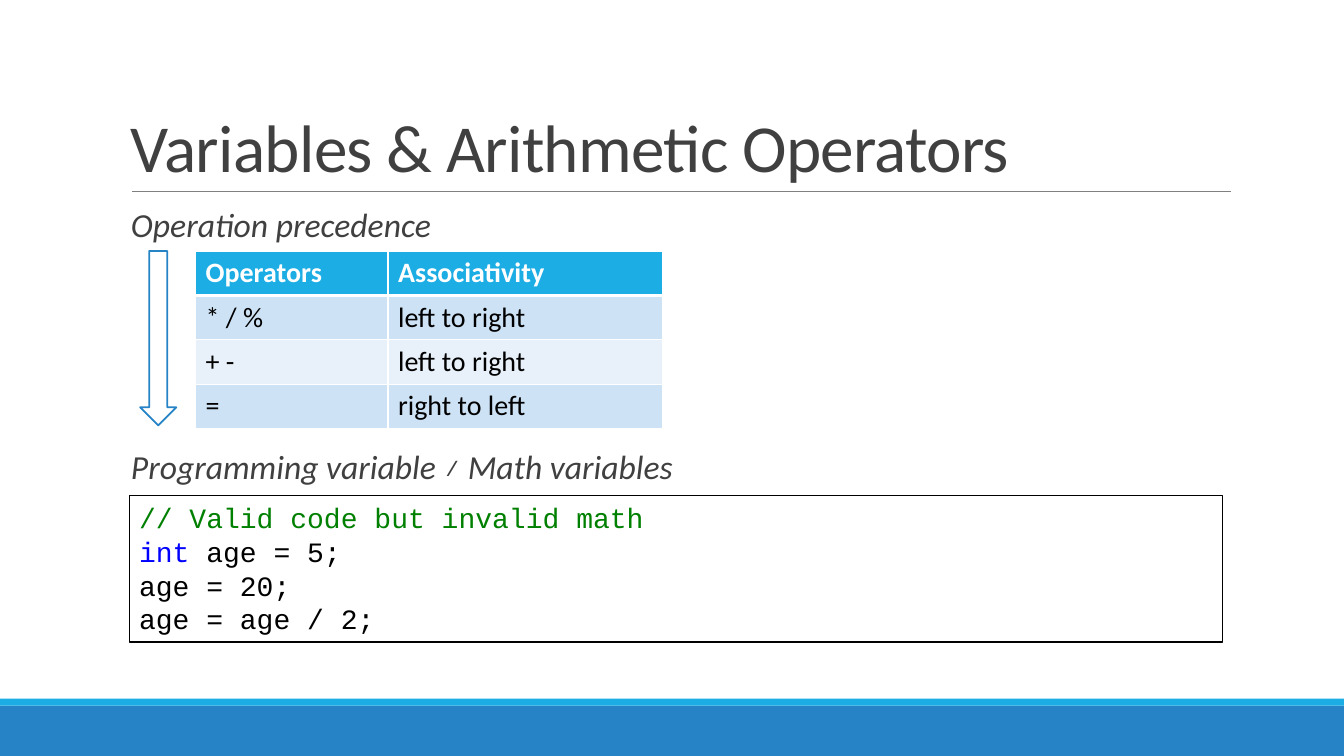
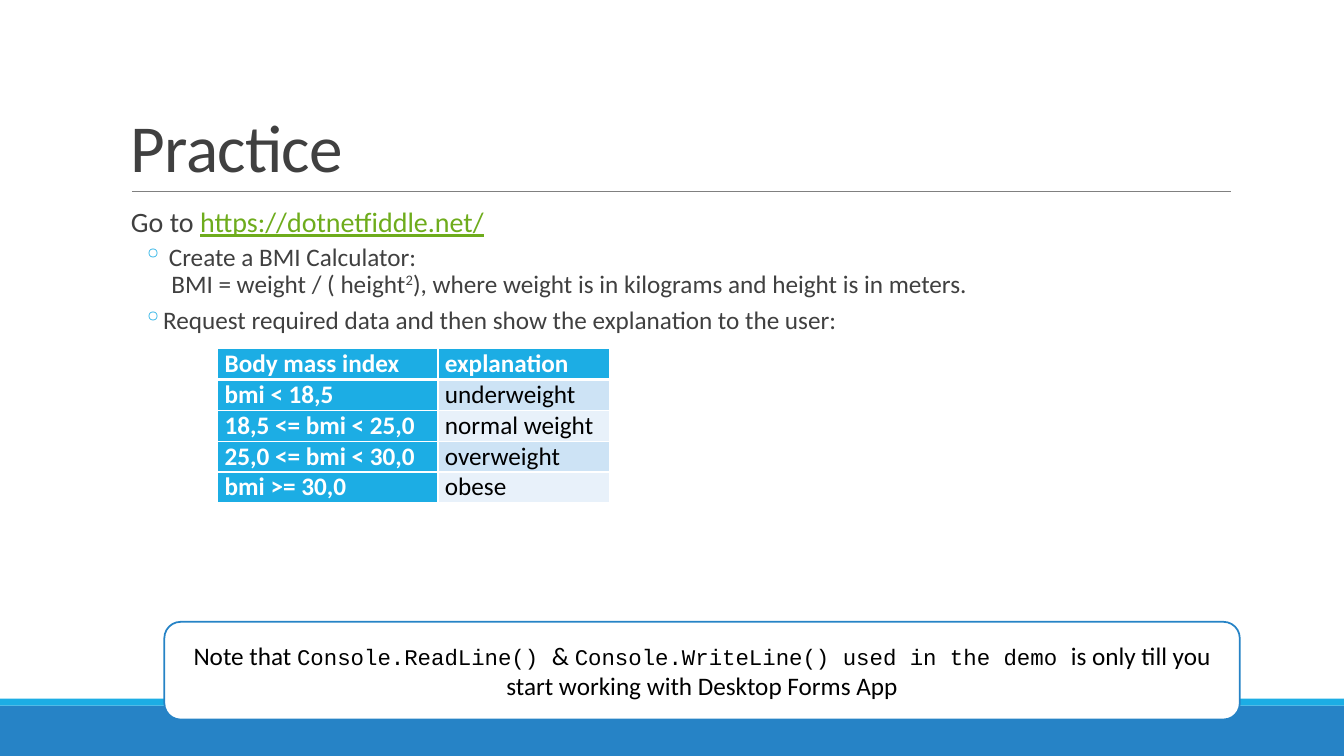
import pptx
import pptx.dml.color
import pptx.enum.shapes
import pptx.enum.text
import pptx.oxml
import pptx.oxml.ns
import pptx.util

Pt = pptx.util.Pt
SHAPES = pptx.enum.shapes.MSO_SHAPE
ANCHOR = pptx.enum.text.MSO_ANCHOR
ALIGN = pptx.enum.text.PP_ALIGN
NS = pptx.oxml.ns.nsdecls("a")


def rgb(hex_color):
    return pptx.dml.color.RGBColor.from_string(hex_color)


def write(paragraph, text, size=18, font="Calibri", color="000000", bold=False,
          italic=False, underline=False, tracking=None, baseline=None):
    """Append formatted text; a newline becomes a line break."""
    for index, line in enumerate(text.split("\n")):
        if index:
            paragraph.add_line_break()
        run = paragraph.add_run()
        run.text = line
        run.font.name, run.font.size = font, Pt(size)
        run.font.bold, run.font.italic = bold, italic
        run.font.underline = underline
        run.font.color.rgb = rgb(color)
        properties = run.font._element
        if tracking is not None:
            properties.set("spc", str(int(tracking * 100)))
        if baseline is not None:
            properties.set("baseline", str(baseline * 1000))


class Deck:
    BLUE, CYAN, INK, RULE = "2683C6", "1CADE4", "404040", "808080"
    WHITE, BLACK, LINK = "FFFFFF", "000000", "6EAC1C"
    STRIPES = ("CDE3F5", "E8F1FA")
    CODE_FONT = "Courier New"
    WIDTH, HEIGHT = 960, 540

    def __init__(self):
        self.file = pptx.Presentation()
        self.file.slide_width = Pt(self.WIDTH)
        self.file.slide_height = Pt(self.HEIGHT)
        self.slide = None

    def start_slide(self, title):
        """Open a slide with the shared bands, title and rule."""
        self.slide = self.file.slides.add_slide(self.file.slide_layouts[6])
        self.shape(SHAPES.RECTANGLE, 0, 504, self.WIDTH, 36, fill=self.BLUE)
        self.shape(SHAPES.RECTANGLE, 0, 499, self.WIDTH, 5, fill=self.CYAN)
        self.rule(94.3, 879, 136.8)
        frame = self.text_box(86.4, 22.3, 792, 114.5, inset=7.2, anchor=ANCHOR.BOTTOM)
        paragraph = self.paragraph(frame, line_spacing=0.85)
        write(paragraph, title, size=48, color=self.INK, tracking=-0.5)

    def rule(self, left, right, top):
        line = self.slide.shapes.add_connector(
            pptx.enum.shapes.MSO_CONNECTOR.STRAIGHT, Pt(left), Pt(top), Pt(right), Pt(top))
        line.line.color.rgb = rgb(self.RULE)
        line.line.width = Pt(0.5)
        line._element.spPr.append(pptx.oxml.parse_xml(f"<a:effectLst {NS}/>"))

    def shape(self, kind, left, top, width, height, fill=None, line=None,
              line_width=1.25, anchor=ANCHOR.TOP):
        shape = self.slide.shapes.add_shape(kind, Pt(left), Pt(top), Pt(width), Pt(height))
        shape.shadow.inherit = False
        if fill:
            shape.fill.solid()
            shape.fill.fore_color.rgb = rgb(fill)
        else:
            shape.fill.background()
        if line:
            shape.line.color.rgb = rgb(line)
            shape.line.width = Pt(line_width)
        else:
            shape.line.fill.background()
        shape.text_frame.word_wrap = True
        shape.text_frame.vertical_anchor = anchor
        return shape.text_frame

    def text_box(self, left, top, width, height, inset=0, anchor=ANCHOR.TOP):
        box = self.slide.shapes.add_textbox(Pt(left), Pt(top), Pt(width), Pt(height))
        frame = box.text_frame
        frame.word_wrap = True
        frame.vertical_anchor = anchor
        frame.margin_left = frame.margin_right = Pt(inset)
        return frame

    def paragraph(self, frame, line_spacing=1.0, before=0, after=0,
                  align=ALIGN.LEFT, bullet=None, margin=0, indent=0):
        first = frame.paragraphs[0]
        paragraph = frame.add_paragraph() if first.runs else first
        properties = paragraph._p.get_or_add_pPr()
        properties.set("marL", str(int(Pt(margin))))
        properties.set("indent", str(int(Pt(indent))))
        if bullet:
            for xml in (f'<a:buClr {NS}><a:srgbClr val="{self.CYAN}"/></a:buClr>',
                        f'<a:buChar {NS} char="{bullet}"/>'):
                properties.append(pptx.oxml.parse_xml(xml))
        paragraph.line_spacing = line_spacing
        paragraph.space_before, paragraph.space_after = Pt(before), Pt(after)
        paragraph.alignment = align
        return paragraph

    def heading(self, text, top):
        frame = self.text_box(86.4, top, 792, 34)
        write(self.paragraph(frame, line_spacing=0.9, margin=7.2), text,
              size=24, color=self.INK, italic=True)

    def table(self, left, top, columns, row_height, rows, size, insets, header_column=False):
        """Draw a striped table; insets are (side, top and bottom)."""
        table = self.slide.shapes.add_table(
            len(rows), len(columns), Pt(left), Pt(top),
            Pt(sum(columns)), Pt(row_height * len(rows))).table
        for column, width in zip(table.columns, columns):
            column.width = Pt(width)
        for r, texts in enumerate(rows):
            table.rows[r].height = Pt(row_height)
            for c, text in enumerate(texts):
                cell = table.cell(r, c)
                is_header = r == 0 or (header_column and c == 0)
                cell.margin_left = cell.margin_right = Pt(insets[0])
                cell.margin_top = cell.margin_bottom = Pt(insets[1])
                cell.fill.solid()
                cell.fill.fore_color.rgb = rgb(self.CYAN if is_header else self.STRIPES[(r - 1) % 2])
                self.cell_borders(cell, top=3 if r == 1 else 1, bottom=3 if r == 0 else 1)
                write(cell.text_frame.paragraphs[0], text, size=size, bold=is_header,
                      color=self.WHITE if is_header else self.BLACK)

    def cell_borders(self, cell, top, bottom):
        properties = cell._tc.get_or_add_tcPr()
        for index, (side, width) in enumerate(zip("LRTB", (1, 1, top, bottom))):
            properties.insert(index, pptx.oxml.parse_xml(
                f'<a:ln{side} {NS} w="{int(Pt(width))}"><a:solidFill>'
                f'<a:srgbClr val="{self.WHITE}"/></a:solidFill></a:ln{side}>'))

    def code(self, left, top, width, height, lines):
        """Each line is a list of (text, color) pieces."""
        frame = self.shape(SHAPES.RECTANGLE, left, top, width, height,
                           line=self.BLACK, line_width=0.75)
        for pieces in lines:
            paragraph = self.paragraph(frame)
            for text, color in pieces:
                write(paragraph, text, size=20, font=self.CODE_FONT, color=color)


def operators_slide(deck):
    deck.start_slide("Variables & Arithmetic Operators")

    # Precedence table and its direction arrow
    deck.heading("Operation precedence", 145.4)
    deck.table(139.7, 179.3, (137.5, 195.8), 31.7, [
        ("Operators", "Associativity"),
        ("* / %", "left to right"),
        ("+ -", "left to right"),
        ("=", "right to left"),
    ], size=20, insets=(7.2, 3.6))
    deck.shape(SHAPES.DOWN_ARROW, 100.1, 179.3, 25.9, 124.6, fill=deck.WHITE, line=deck.BLUE)

    # Code example
    deck.heading("Programming variable ≠ Math variables", 318)
    deck.code(92.2, 354.2, 781.2, 104.4, [
        [("// Valid code but invalid math", "008000")],
        [("int", "0000FF"), (" age = 5;", deck.BLACK)],
        [("age = 20;", deck.BLACK)],
        [("age = age / 2;", deck.BLACK)],
    ])


def practice_slide(deck):
    deck.start_slide("Practice")

    # Task
    task = deck.text_box(86.4, 145.4, 792, 317)
    site = deck.paragraph(task, line_spacing=0.9, after=2, margin=7.2)
    write(site, "Go to ", size=20, color=deck.INK)
    write(site, "https://dotnetfiddle.net/", size=20, color=deck.LINK, underline=True)
    step = dict(line_spacing=0.9, before=2, after=4, bullet="◦", margin=30.2, indent=-14.4)
    formula = deck.paragraph(task, **step)
    write(formula, " Create a BMI Calculator: \n\tBMI = weight / ( height", color=deck.INK)
    write(formula, "2", color=deck.INK, baseline=30)
    write(formula, "), where weight is in kilograms and height is in meters.", color=deck.INK)
    write(deck.paragraph(task, **step),
          "Request required data and then show the explanation to the user:", color=deck.INK)

    # Note
    note = deck.shape(SHAPES.ROUNDED_RECTANGLE, 117.4, 444.2, 768.2, 69.8,
                      fill=deck.WHITE, line=deck.BLUE, anchor=ANCHOR.MIDDLE)
    sentence = deck.paragraph(note, align=ALIGN.CENTER)
    code = dict(size=16, font=deck.CODE_FONT)
    write(sentence, "Note that ")
    write(sentence, "Console.ReadLine() ", **code)
    write(sentence, "& ")
    write(sentence, "Console.WriteLine() used in the demo ", **code)
    write(sentence, "is only till you start working with Desktop Forms App")

    # Explanations by body mass index
    deck.table(155.5, 249.1, (157.3, 122.4), 22, [
        ("Body mass index", "explanation"),
        ("bmi < 18,5", "underweight"),
        ("18,5 <= bmi < 25,0", "normal weight"),
        ("25,0 <= bmi < 30,0", "overweight"),
        ("bmi >= 30,0", "obese"),
    ], size=18, insets=(5, 0), header_column=True)


def main():
    deck = Deck()
    operators_slide(deck)
    practice_slide(deck)
    deck.file.save("out.pptx")


if __name__ == "__main__":
    main()
